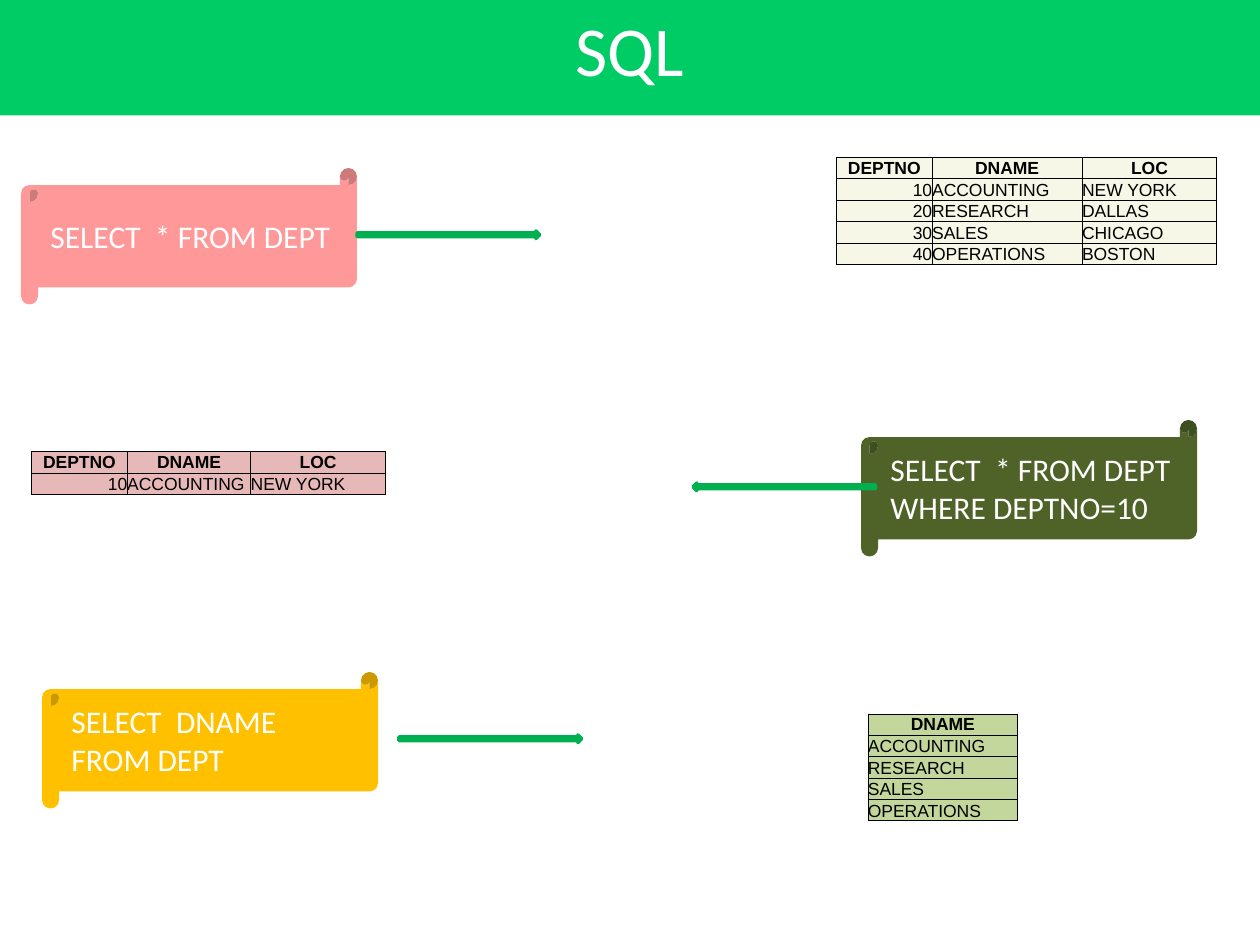
from dataclasses import dataclass

from lxml import etree
from pptx import Presentation
from pptx import util as u
from pptx.dml.color import RGBColor
from pptx.enum import shapes, text
from pptx.oxml.ns import qn


@dataclass(frozen=True)
class Theme:
    head: str = "Calibri"
    body: str = "Arial"
    title_pt: int = 40
    query_pt: int = 18
    cell_pt: int = 10
    border_pt: float = 0.5
    arrow_pt: int = 2
    light: str = "FFFFFF"
    dark: str = "000000"
    banner: str = "00CC66"
    arrow: str = "00B050"
    pink: str = "FF9999"
    olive: str = "4F6228"
    gold: str = "FFC000"
    cream: str = "F7F7E7"
    rose: str = "E6B9B8"
    sage: str = "C3D69B"


T = Theme()
W, H = u.Inches(10), u.Inches(7.5)
COLS, ROWS = 60, 45
COL_IN = {"DEPTNO": 0.76, "DNAME": 1.19, "LOC": 1.07}
ROW_IN = 0.17
DEPTS = [
    ("10", "ACCOUNTING", "NEW YORK"),
    ("20", "RESEARCH", "DALLAS"),
    ("30", "SALES", "CHICAGO"),
    ("40", "OPERATIONS", "BOSTON"),
]


def x(cols):
    return int(W * cols / COLS)


def y(rows):
    return int(H * rows / ROWS)


def rgb(code):
    return RGBColor.from_string(code)


def write(tf, words, font, size, color, align, bold=False):
    tf.text = words
    for p in tf.paragraphs:
        p.alignment = align
        for r in p.runs:
            r.font.name, r.font.size, r.font.bold = font, u.Pt(size), bold
            r.font.color.rgb = rgb(color)


def add_filled(s, kind, left, top, width, height, color):
    sp = s.shapes.add_shape(kind, x(left), y(top), x(width), y(height))
    sp.shadow.inherit = False
    sp.fill.solid()
    sp.fill.fore_color.rgb = rgb(color)
    sp.line.fill.background()
    return sp


def add_banner(s, words):
    sp = add_filled(s, shapes.MSO_SHAPE.RECTANGLE, 0, 0, COLS, 5.5, T.banner)
    tf = sp.text_frame
    tf.vertical_anchor = text.MSO_ANCHOR.TOP
    write(tf, words, T.head, T.title_pt, T.light, text.PP_ALIGN.CENTER)


def add_query(s, left, top, words, color):
    sp = add_filled(s, shapes.MSO_SHAPE.HORIZONTAL_SCROLL, left, top, 16, 6.5, color)
    tf = sp.text_frame
    tf.word_wrap = True
    tf.vertical_anchor = text.MSO_ANCHOR.MIDDLE
    write(tf, words, T.head, T.query_pt, T.light, text.PP_ALIGN.LEFT)


def add_arrow(s, left, top, turn=0):
    sp = add_filled(s, shapes.MSO_SHAPE.RIGHT_ARROW, left, top, 8.7, 0.36, T.arrow)
    sp.line.color.rgb = rgb(T.arrow)
    sp.line.width = u.Pt(T.arrow_pt)
    sp.rotation = turn


def add_borders(cell):
    tcPr = cell._tc.get_or_add_tcPr()
    for side in ("lnL", "lnR", "lnT", "lnB"):
        ln = etree.SubElement(tcPr, qn(f"a:{side}"), w=str(u.Pt(T.border_pt)))
        fill = etree.SubElement(ln, qn("a:solidFill"))
        etree.SubElement(fill, qn("a:srgbClr"), val=T.dark)


def style_cell(cell, words, color, header):
    add_borders(cell)
    cell.fill.solid()
    cell.fill.fore_color.rgb = rgb(color)
    cell.margin_left = cell.margin_right = cell.margin_top = cell.margin_bottom = 0
    cell.vertical_anchor = text.MSO_ANCHOR.MIDDLE if header else text.MSO_ANCHOR.BOTTOM
    if header:
        align = text.PP_ALIGN.CENTER
    else:
        align = text.PP_ALIGN.RIGHT if words.isdigit() else text.PP_ALIGN.LEFT
    write(cell.text_frame, words, T.body, T.cell_pt, T.dark, align, header)


def add_result(s, left, top, names, records, color, widths=COL_IN):
    rows = [names, *records]
    sizes = [u.Inches(widths[n]) for n in names]
    height = u.Inches(ROW_IN)
    tbl = s.shapes.add_table(len(rows), len(names), x(left), y(top),
                             sum(sizes), height * len(rows)).table
    tbl.first_row = tbl.horz_banding = False
    for col, size in zip(tbl.columns, sizes):
        col.width = size
    for i, row in enumerate(rows):
        tbl.rows[i].height = height
        for j, words in enumerate(row):
            style_cell(tbl.cell(i, j), words, color, i == 0)


def main():
    prs = Presentation()
    prs.slide_width, prs.slide_height = W, H
    s = prs.slides.add_slide(prs.slide_layouts[6])
    names = list(COL_IN)

    add_query(s, 1, 8, "SELECT  * FROM DEPT", T.pink)
    add_result(s, 39.83, 7.5, names, DEPTS, T.cream)
    add_arrow(s, 17, 11)

    add_query(s, 41, 20, "SELECT  * FROM DEPT\nWHERE DEPTNO=10", T.olive)
    add_result(s, 1.5, 21.5, names, DEPTS[:1], T.rose, {**COL_IN, "DNAME": 0.98})
    add_arrow(s, 33, 23, 180)

    add_result(s, 41.33, 34, ["DNAME"], [d[1:2] for d in DEPTS], T.sage)
    add_query(s, 2, 32, "SELECT  DNAME FROM DEPT", T.gold)
    add_arrow(s, 19, 35)

    add_banner(s, "SQL")
    prs.save("out.pptx")


if __name__ == "__main__":
    main()
